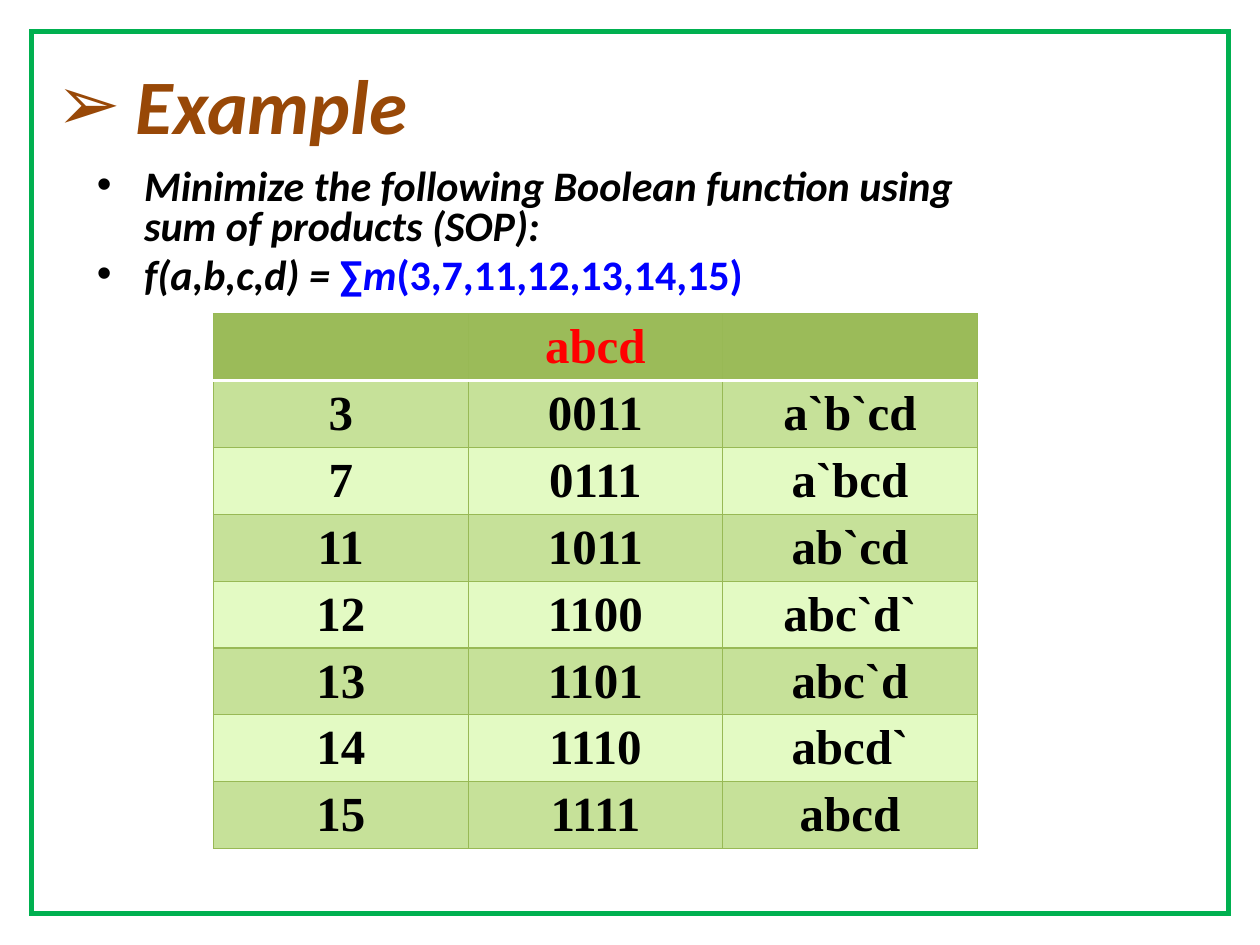
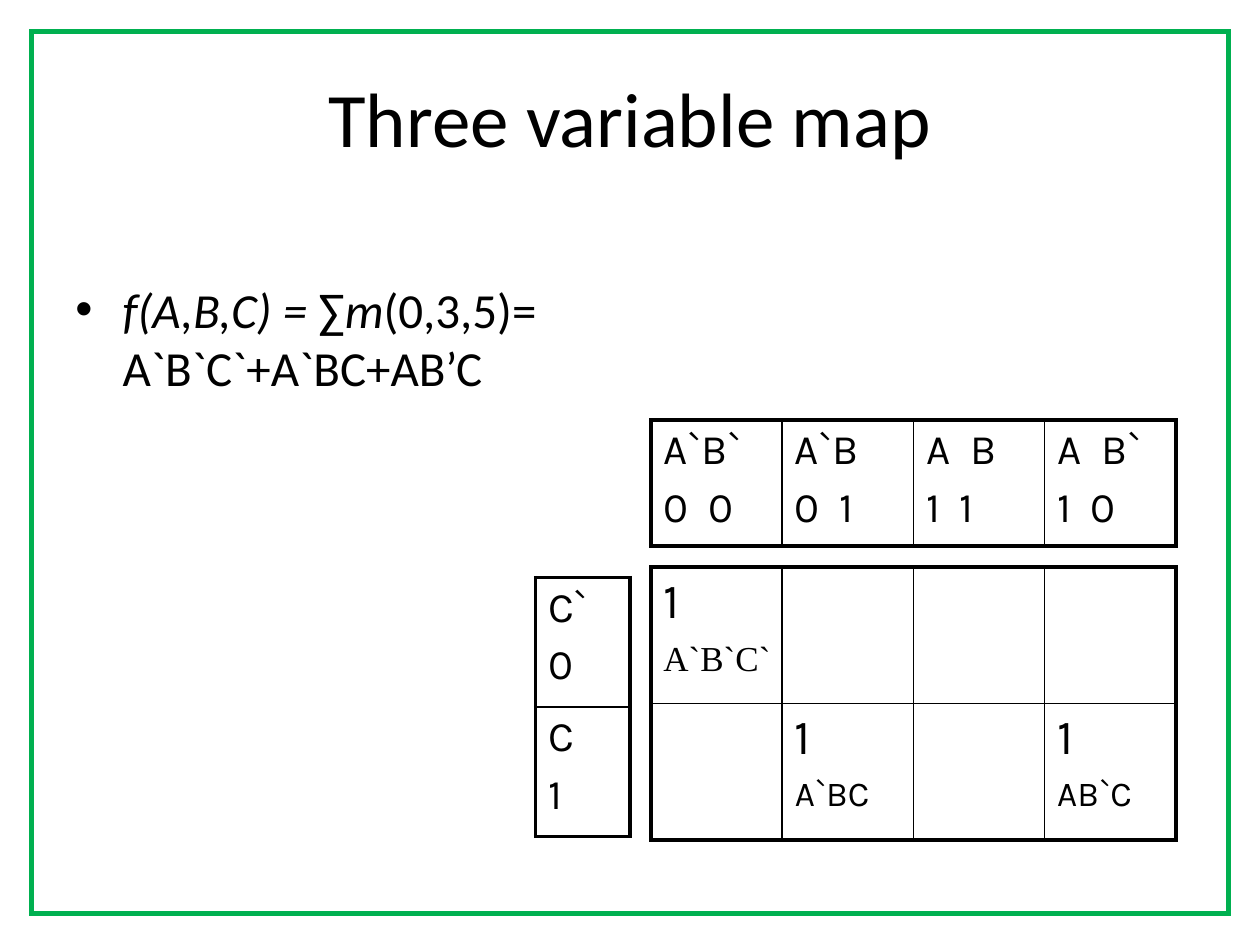
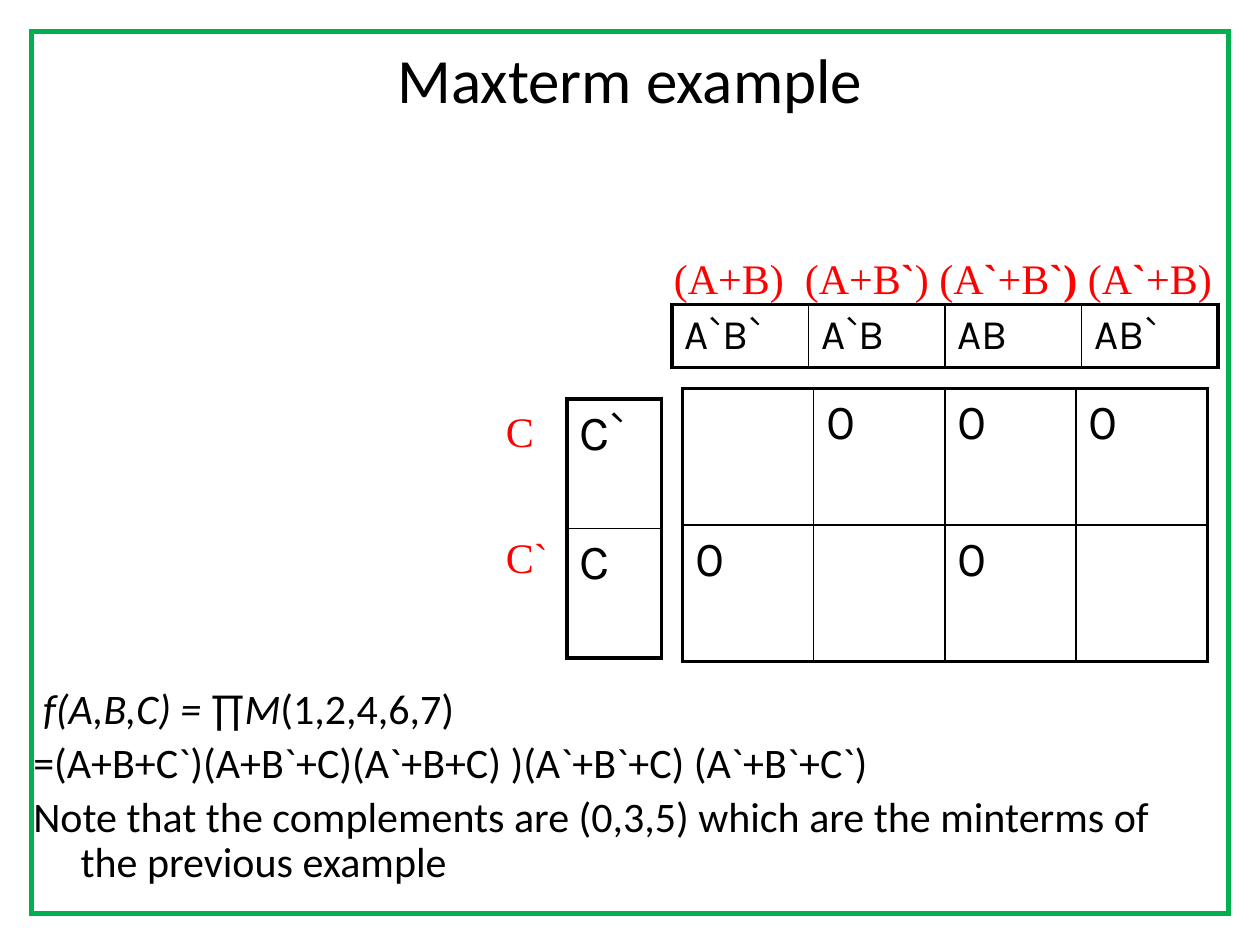
"""Builds three slides on minimizing Boolean functions with maps."""
from lxml import etree
from pptx import Presentation
from pptx.dml.color import RGBColor
from pptx.enum.shapes import MSO_SHAPE
from pptx.enum.text import MSO_ANCHOR, MSO_AUTO_SIZE, PP_ALIGN
from pptx.oxml.ns import qn
from pptx.util import Pt

RECTANGLE = MSO_SHAPE.RECTANGLE
TOP, MIDDLE = MSO_ANCHOR.TOP, MSO_ANCHOR.MIDDLE
FIT_SHAPE, FIT_NONE = MSO_AUTO_SIZE.SHAPE_TO_FIT_TEXT, MSO_AUTO_SIZE.NONE
LEFT, CENTER = PP_ALIGN.LEFT, PP_ALIGN.CENTER

COLORS = {
    "text": "000000",
    "title": "984807",
    "term": "0000FF",
    "accent": "FF0000",
    "frame": "00B050",
    "rule": "98B955",
    "header": "9BBB59",
    "odd": "C6E199",
    "even": "E3FAC3",
    "white": "FFFFFF",
}
BODY, MAP, SERIF, BULLET = "Calibri", "Karla", "Times New Roman", "Arial"
HANGING = 27


def rgb(name):
    return RGBColor.from_string(COLORS[name])


def add_span(para, text, font=BODY, size=24, color="text", bold=False, italic=False):
    span = para.add_run()
    span.text = text
    span.font.name = font
    span.font.size = Pt(size)
    span.font.color.rgb = rgb(color)
    span.font.bold = bold
    span.font.italic = italic


def indent(para, left, first, bullet=None):
    properties = para._p.get_or_add_pPr()
    properties.set("marL", str(Pt(left)))
    properties.set("indent", str(Pt(first)))
    if bullet:
        etree.SubElement(properties, qn("a:buFont")).set("typeface", BULLET)
        etree.SubElement(properties, qn("a:buChar")).set("char", bullet)


def set_borders(cell, edges):
    properties = cell._tc.get_or_add_tcPr()
    for index, (side, (color, width)) in enumerate(zip("LRTB", edges)):
        line = etree.Element(qn(f"a:ln{side}"), w=str(Pt(width)))
        fill = etree.SubElement(line, qn("a:solidFill"))
        etree.SubElement(fill, qn("a:srgbClr")).set("val", COLORS[color])
        properties.insert(index, line)


class Deck:
    """Holds the shared style and the current slide."""

    def __init__(self):
        self.deck = Presentation()
        self.deck.slide_width, self.deck.slide_height = Pt(720), Pt(540)
        self.page = None

    def new_page(self):
        self.page = self.deck.slides.add_slide(self.deck.slide_layouts[6])

    def frame(self):
        box = self.page.shapes.add_shape(RECTANGLE, Pt(18), Pt(18), Pt(684), Pt(504))
        box.shadow.inherit = False
        box.fill.background()
        box.line.color.rgb = rgb("frame")
        box.line.width = Pt(3)
        line = box._element.spPr.find(qn("a:ln"))
        etree.SubElement(line, qn("a:miter")).set("lim", "800000")

    def text(self, at, paras, align=LEFT, anchor=TOP, wrap=True, spacing=None,
             gap=4.8, indents=None, bullet=None, **style):
        box = self.page.shapes.add_textbox(*map(Pt, at)).text_frame
        box.word_wrap = wrap
        box.auto_size = FIT_NONE if wrap else FIT_SHAPE
        box.vertical_anchor = anchor
        for index, spans in enumerate(paras):
            para = box.paragraphs[0] if index == 0 else box.add_paragraph()
            para.alignment = align
            if spacing:
                para.line_spacing = spacing
            if index:
                para.space_before = Pt(gap)
            if indents:
                indent(para, *indents[index], bullet)
            for text, changes in spans:
                add_span(para, text, **{**style, **changes})

    def title(self, at, text, size=44):
        self.text(at, [[(text, {})]], align=CENTER, anchor=MIDDLE, size=size)

    def label(self, at, spans, **style):
        self.text(at, [spans], wrap=False, font=SERIF, **style)

    def table(self, left, top, width, height, rows, sizes, inner=("text", 1),
              outer=("text", 2.25), under_header=None, fills=None, align=LEFT, **style):
        row_count, column_count = len(rows), len(rows[0])
        table = self.page.shapes.add_table(
            row_count, column_count, Pt(left), Pt(top),
            Pt(width * column_count), Pt(height * row_count)).table
        table.first_row = table.horz_banding = False
        for column in table.columns:
            column.width = Pt(width)
        across = [outer] + [inner] * (row_count - 1) + [outer]
        down = [outer] + [inner] * (column_count - 1) + [outer]
        if under_header:
            across[1] = under_header
        for r, texts in enumerate(rows):
            table.rows[r].height = Pt(height)
            for c, text in enumerate(texts):
                cell = table.cell(r, c)
                if fills:
                    cell.fill.solid()
                    cell.fill.fore_color.rgb = rgb(fills[r])
                else:
                    cell.fill.background()
                set_borders(cell, (down[c], down[c + 1], across[r], across[r + 1]))
                if text:
                    color = "accent" if under_header and r == 0 else "text"
                    self.fill_cell(cell, text, sizes, align, color=color, **style)

    def fill_cell(self, cell, text, sizes, align, **style):
        box = cell.text_frame
        for index, (line, size) in enumerate(zip(text.split("\n"), sizes)):
            para = box.paragraphs[0] if index == 0 else box.add_paragraph()
            para.alignment = align
            if index:
                para.space_before = Pt(size * 0.2)
            add_span(para, line, size=size, **style)


def minterm_example(deck):
    deck.new_page()
    deck.text((25.5, 26.5, 612, 66), [[("Example", {})]], anchor=MIDDLE, size=44,
              color="title", bold=True, italic=True,
              indents=[(45, -45)], bullet="➢")
    term = {"color": "term"}
    deck.text((48.25, 93, 534, 402), [
        [("Minimize the following Boolean function using sum of products (SOP):", {})],
        [("f(a,b,c,d) = ", {}), ("∑", {**term, "italic": False}), ("m", term),
         ("(3,7,11,12,13,14,15)", {**term, "italic": False})],
    ], bold=True, italic=True, spacing=0.8,
        indents=[(HANGING, -HANGING)] * 2, bullet="•")
    products = {3: "a`b`cd", 7: "a`bcd", 11: "ab`cd", 12: "abc`d`",
                13: "abc`d", 14: "abcd`", 15: "abcd"}
    rows = [("", "abcd", "")]
    rows += [(str(number), f"{number:04b}", product)
             for number, product in products.items()]
    fills = ["header"] + ["even" if r % 2 == 0 else "odd" for r in range(1, len(rows))]
    deck.table(122, 179.25, 145.5, 36, rows, (28,), inner=("rule", 0.75),
               outer=("rule", 0.75), under_header=("white", 2), fills=fills,
               align=CENTER, font=SERIF, bold=True)
    deck.frame()


def three_variable_map(deck):
    deck.new_page()
    deck.title((36, 21.5, 648, 90), "Three variable map")
    deck.text((36, 156, 300, 324), [
        [("f(A,B,C) = ", {"italic": True}), ("∑", {}), ("m", {"italic": True}),
         ("(0,3,5)= A`B`C`+A`BC+AB’C", {})],
    ], size=28, indents=[(HANGING, -HANGING)], bullet="•")
    deck.table(372, 324, 75, 78, [("1", "", "", ""), ("", "1\nA`BC", "", "1\nAB`C")],
               (28, 20), font=MAP)
    deck.table(372, 240, 75, 72, [("A`B`\n0  0", "A`B\n0  1", "A  B\n1  1", "A  B`\n1  0")],
               (24, 24), font=MAP)
    deck.table(306, 330, 54, 74, [("C`\n0",), ("C\n1",)], (24, 24), font=MAP)
    deck.label((372, 360, 75.5, 31), [("A`B`C`", {})], size=20)
    deck.frame()


def maxterm_example(deck):
    deck.new_page()
    deck.title((54, 18, 612, 54), "Maxterm example", size=36)
    deck.text((12, 390, 684, 132), [
        [("f(A,B,C) = ", {"italic": True}), ("∏", {}), ("M", {"italic": True}),
         ("(1,2,4,6,7)", {})],
        [("=(A+B+C`)(A+B`+C)(A`+B+C) )(A`+B`+C) (A`+B`+C`)", {})],
        [("Note that the complements are (0,3,5) which are the minterms of "
          "the previous example", {})],
    ], spacing=0.9, indents=[(HANGING, 5.5 - HANGING)] + [(HANGING, -HANGING)] * 2)
    deck.table(390, 222, 75, 78, [("", "0", "0", "0"), ("0", "", "0", "")],
               (28,), font=MAP)
    deck.table(384, 174, 78, 36, [("A`B`", "A`B", "AB", "AB`")], (24,), font=MAP)
    deck.table(324, 228, 54, 74, [("C`",), ("C",)], (28,), font=MAP)
    bold = {"bold": True}
    deck.label((378, 144, 322, 33), [
        ("(A+B)  (A+B", {}), ("`", bold), (") (A", {}), ("`", bold), ("+B", {}),
        ("`) ", bold), ("(A", {}), ("`", bold), ("+B)", {}),
    ], color="accent", spacing=0.9)
    for top, name in ((228, "C"), (300, "C`")):
        deck.label((282, top, 24 + 8 * len(name), 36), [(name, {})], color="accent")
    deck.frame()


def main():
    deck = Deck()
    minterm_example(deck)
    three_variable_map(deck)
    maxterm_example(deck)
    deck.deck.save("out.pptx")


if __name__ == "__main__":
    main()
